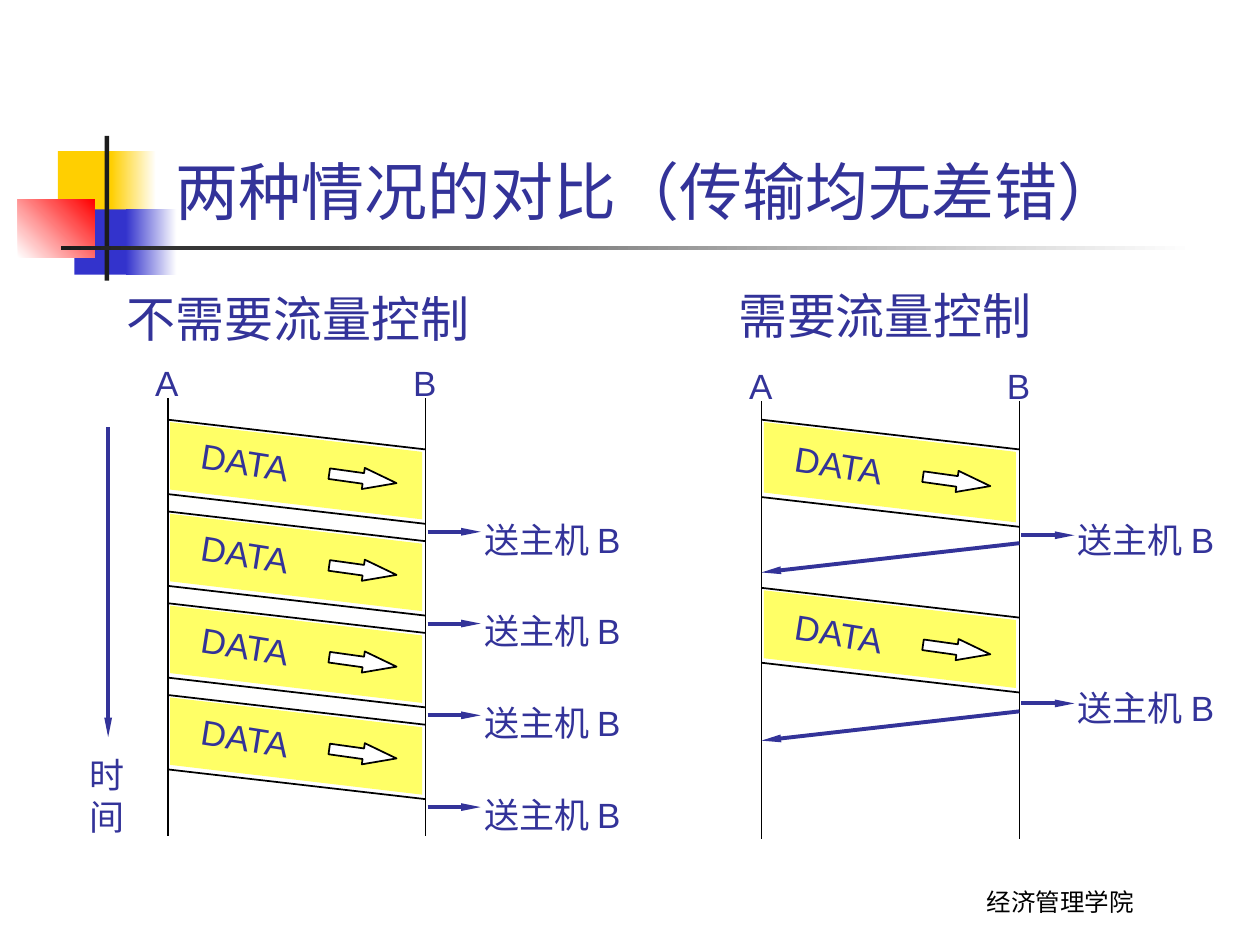
"""Build a slide comparing transmission without and with flow control."""
from lxml.etree import SubElement
from pptx import Presentation
from pptx.dml.color import RGBColor
from pptx.enum.shapes import MSO_CONNECTOR as Connector, MSO_SHAPE as Preset
from pptx.enum.text import MSO_ANCHOR as Anchor, MSO_AUTO_SIZE as Fit, PP_ALIGN as Align
from pptx.oxml.ns import qn
from pptx.util import Cm, Pt

BLACK = RGBColor(0x00, 0x00, 0x00)
WHITE = RGBColor(0xFF, 0xFF, 0xFF)
INDIGO = RGBColor(0x33, 0x33, 0x99)
LEMON = RGBColor(0xFF, 0xFF, 0x66)
GOLD = RGBColor(0xFF, 0xCF, 0x01)
BLUE = RGBColor(0x33, 0x33, 0xCC)
RED = RGBColor(0xFF, 0x00, 0x00)
CHARCOAL = RGBColor(0x1C, 0x1C, 0x1C)

HOST_GAP = 5.2
BLOCK_DROP = 0.6


class FlowSlide:
    def __init__(self, deck):
        self.page = deck.slides.add_slide(deck.slide_layouts[6])
        self.font = {"name": "Arial", "size": Pt(20)}
        self.frame = {"word_wrap": True, "auto_size": Fit.SHAPE_TO_FIT_TEXT}

    def rect(self, left, top, width, height, start, end=None, angle=0):
        box = self.page.shapes.add_shape(
            Preset.RECTANGLE, Cm(left), Cm(top), Cm(width), Cm(height))
        box.shadow.inherit = False
        box.line.fill.background()
        if end is None:
            box.fill.solid()
            box.fill.fore_color.rgb = start
            return
        box.fill.gradient()
        box.fill.gradient_angle = angle
        for stop, color, position in zip(box.fill.gradient_stops, (start, end), (0, 1)):
            stop.color.rgb = color
            stop.position = position

    def text(self, left, top, width, height, words, color=INDIGO, align=Align.LEFT,
             rotation=0, font=None, frame=None):
        box = self.page.shapes.add_textbox(Cm(left), Cm(top), Cm(width), Cm(height))
        box.rotation = rotation
        for name, value in {**self.frame, **(frame or {})}.items():
            setattr(box.text_frame, name, value)
        for index, line in enumerate(words.split("\n")):
            para = box.text_frame.add_paragraph() if index else box.text_frame.paragraphs[0]
            para.alignment = align
            span = para.add_run()
            span.text = line
            for name, value in {**self.font, **(font or {})}.items():
                setattr(span.font, name, value)
            span.font.color.rgb = color

    def line(self, x1, y1, x2, y2, color=BLACK, weight=1, arrow=False):
        link = self.page.shapes.add_connector(
            Connector.STRAIGHT, Cm(x1), Cm(y1), Cm(x2), Cm(y2))
        link.line.color.rgb = color
        link.line.width = Pt(weight)
        if arrow:
            SubElement(link.line._get_or_add_ln(), qn("a:tailEnd"),
                       type="triangle", w="sm", len="lg")
        SubElement(link._element.spPr, qn("a:effectLst"))

    def signal(self, x1, y1, x2, y2):
        self.line(x1, y1, x2, y2, INDIGO, 2.25, arrow=True)

    def polygon(self, points, color):
        corners = [(Cm(x), Cm(y)) for x, y in points]
        builder = self.page.shapes.build_freeform(*corners[0], scale=1.0)
        builder.add_line_segments(corners[1:], close=True)
        band = builder.convert_to_shape()
        band.shadow.inherit = False
        band.fill.solid()
        band.fill.fore_color.rgb = color
        band.line.fill.background()

    def block_arrow(self, left, top):
        arrow = self.page.shapes.add_shape(
            Preset.RIGHT_ARROW, Cm(left), Cm(top), Cm(1.37), Cm(0.43))
        arrow.shadow.inherit = False
        arrow.rotation = 8
        arrow.adjustments[1] = 1.57
        arrow.fill.solid()
        arrow.fill.fore_color.rgb = WHITE
        arrow.line.color.rgb = BLACK
        arrow.line.width = Pt(1)

    def hosts(self, left, top):
        for x, name in ((left, "A"), (left + HOST_GAP, "B")):
            self.line(x, top, x, top + 8.83)
            self.text(x - 0.5, top - 0.86, 0.97, 1.09, name, frame={"word_wrap": False})

    def data_block(self, left, top, height, shift, deliver):
        right = left + HOST_GAP
        for y in (top, top + height):
            self.line(left, y, right, y + BLOCK_DROP)
        x1, x2, y1, y2 = left + 0.05, right - 0.07, top + 0.05, top + height - 0.09
        self.polygon([(x1, y1), (x2, y1 + BLOCK_DROP), (x2, y2 + BLOCK_DROP), (x1, y2)], LEMON)
        self.block_arrow(left + 3.25, top + 0.97 + shift)
        self.text(left + 0.42, top + 0.31 + shift, 2.39, 1.09, "DATA",
                  rotation=9, frame={"word_wrap": False})
        self.signal(right + 0.04, top + deliver, right + 1.11, top + deliver)
        self.text(left + 6.13, top + 1.86, 3.43, 1.09, "送主机 B")


def main():
    deck = Presentation()
    deck.slide_width, deck.slide_height = Cm(25.4), Cm(19.05)
    slide = FlowSlide(deck)

    slide.rect(1.17, 3.05, 1.22, 1.32, GOLD)
    slide.rect(2.24, 3.05, 0.91, 1.32, GOLD, WHITE)
    slide.rect(1.5, 4.22, 1.17, 1.32, BLUE)
    slide.rect(2.54, 4.22, 1.02, 1.32, BLUE, WHITE)
    slide.rect(0.36, 4.02, 1.55, 1.17, WHITE, RED, 45)
    slide.rect(2.11, 2.74, 0.09, 2.92, CHARCOAL)
    slide.rect(1.23, 4.95, 22.86, 0.09, CHARCOAL, WHITE)

    fixed = {"auto_size": Fit.NONE, "vertical_anchor": Anchor.BOTTOM}
    slide.text(3.05, 2.59, 20.04, 2.13, "两种情况的对比（传输均无差错）",
               align=Align.CENTER, font={"size": Pt(36)}, frame=fixed)
    slide.text(17.35, 17.32, 8.05, 1.27, "经济管理学院", BLACK, Align.CENTER,
               font={"name": "Cabin", "size": Pt(14)}, frame=fixed)
    heading = {"name": "Cabin", "size": Pt(28)}
    slide.text(2.31, 5.69, 7.42, 1.45, "不需要流量控制", font=heading)
    slide.text(14.63, 5.64, 6.43, 1.45, "需要流量控制", font=heading)

    slide.signal(2.18, 8.61, 2.18, 14.86)
    slide.text(1.55, 15.06, 1.22, 1.93, "时\n间")

    free, controlled, first = 3.38, 15.35, 8.46
    slide.hosts(free, 8.03)
    for step in range(4):
        slide.data_block(free, first + 1.85 * step, 1.5, 0, 2.26)

    slide.hosts(controlled, 8.08)
    for step, height in enumerate((1.56, 1.51)):
        top = first + 3.39 * step
        slide.data_block(controlled, top, height, 0.06, 2.33)
        slide.signal(controlled + HOST_GAP, top + 2.49, controlled, top + 3.08)

    deck.save("out.pptx")


if __name__ == "__main__":
    main()
